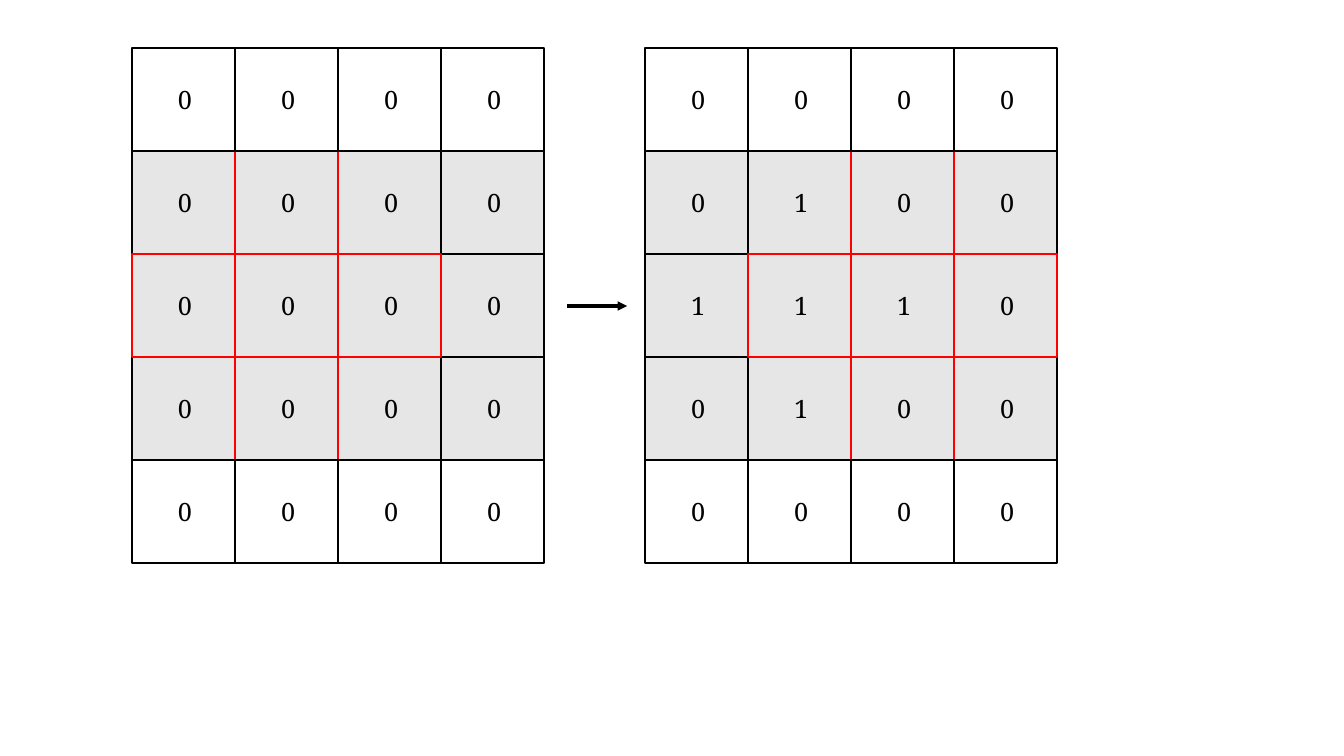
from itertools import product

from lxml import etree
from pptx import Presentation
from pptx.dml.color import RGBColor
from pptx.enum.shapes import MSO_CONNECTOR, MSO_SHAPE
from pptx.enum.text import MSO_AUTO_SIZE
from pptx.oxml.ns import qn
from pptx.util import Inches, Pt

RECT = MSO_SHAPE.RECTANGLE
STRAIGHT = MSO_CONNECTOR.STRAIGHT
FIT_SHAPE = MSO_AUTO_SIZE.SHAPE_TO_FIT_TEXT

FONT = "Noto Serif"
BLACK, RED, GREY, WHITE = "000000", "FF0000", "E7E6E6", "FFFFFF"
CELL = 103
TOP = 48
PADDING_ROWS = (0, 4)
BEFORE = ["0000", "0000", "0000", "0000", "0000"]
AFTER = ["0000", "0100", "1110", "0100", "0000"]


def px(n):
    return Inches(n / 100.8)


def rgb(value):
    return RGBColor.from_string(value)


def add_cell(s, x, y, fill, line):
    sp = s.shapes.add_shape(RECT, px(x), px(y), px(CELL), px(CELL))
    sp.shadow.inherit = False
    sp.fill.solid()
    sp.fill.fore_color.rgb = rgb(fill)
    sp.line.color.rgb = rgb(line)
    sp.line.width = Pt(1.5)


def add_digit(s, x, y, text):
    tf = s.shapes.add_textbox(px(x + 36), px(y + 31), px(31), px(40)).text_frame
    tf.auto_size = FIT_SHAPE
    p = tf.paragraphs[0]
    p.text = text
    p.font.name = FONT
    p.font.size = Pt(18)
    p.font.color.rgb = rgb(BLACK)


def add_grid(s, left, rows, cross_row, cross_col):
    def style(cell):
        row, col = cell
        if row in PADDING_ROWS:
            return 2, WHITE, BLACK
        if abs(row - cross_row) + abs(col - cross_col) <= 1:
            return 1, GREY, RED
        return 0, GREY, BLACK

    cells = product(range(len(rows)), range(len(rows[0])))
    for row, col in sorted(cells, key=lambda cell: style(cell)[0]):
        x, y = left + col * CELL, TOP + row * CELL
        layer, fill, line = style((row, col))
        add_cell(s, x, y, fill, line)
        add_digit(s, x, y, rows[row][col])


def add_arrow(s, x1, x2, y):
    c = s.shapes.add_connector(STRAIGHT, px(x1), px(y), px(x2), px(y))
    c.line.color.rgb = rgb(BLACK)
    c.line.width = Pt(2.25)
    etree.SubElement(c.line._get_or_add_ln(), qn("a:tailEnd"), type="triangle")
    etree.SubElement(c._element.spPr, qn("a:effectLst"))


def main():
    prs = Presentation()
    prs.slide_width = Inches(13.33)
    prs.slide_height = Inches(7.5)
    s = prs.slides.add_slide(prs.slide_layouts[6])
    add_grid(s, 132, BEFORE, cross_row=2, cross_col=1)
    add_grid(s, 645, AFTER, cross_row=2, cross_col=2)
    add_arrow(s, 567, 627, 306)
    prs.save("out.pptx")


main()
